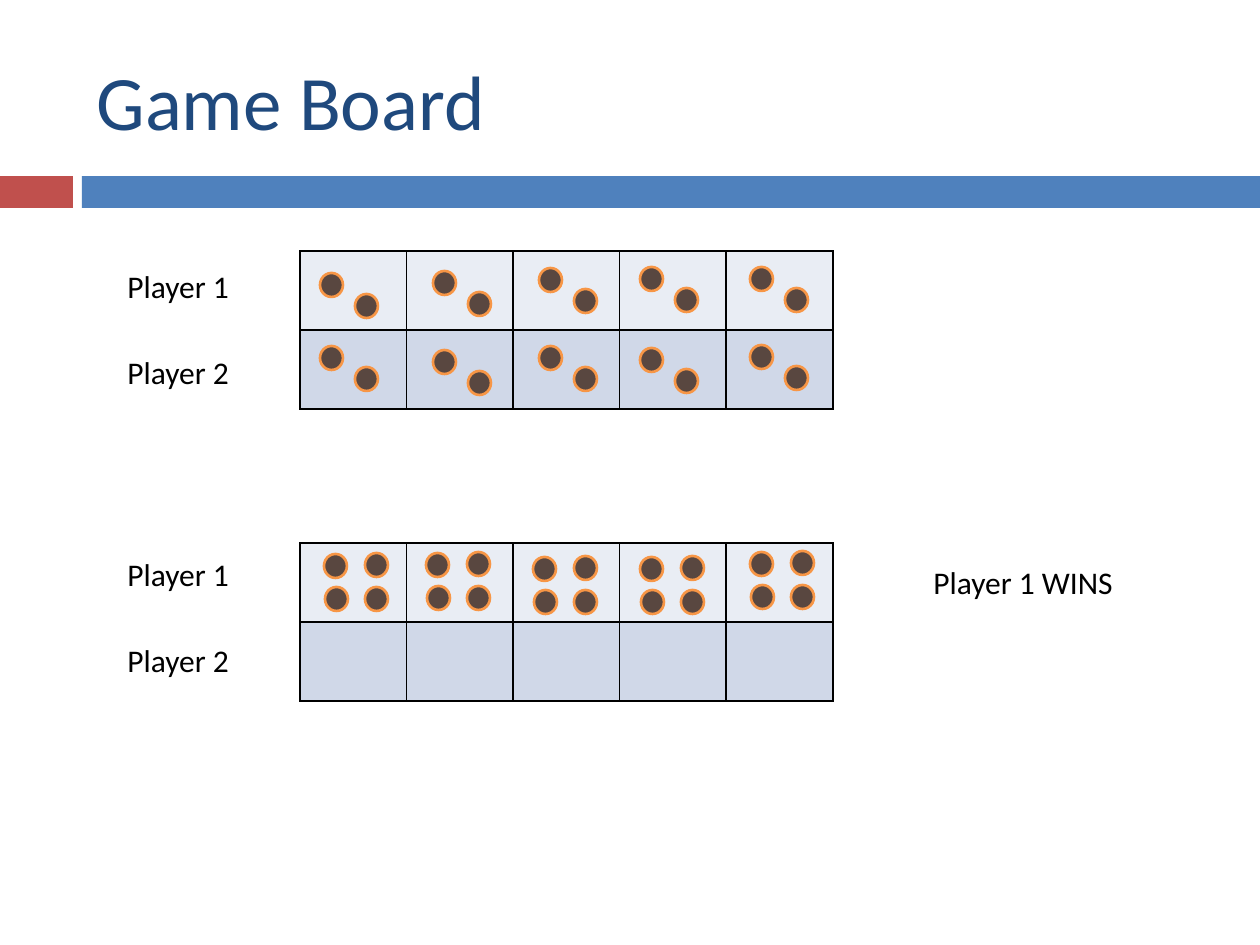
from lxml.etree import SubElement as Sub
from pptx import Presentation
from pptx.dml.color import RGBColor
from pptx.enum.shapes import MSO_SHAPE as Kind
from pptx.enum.text import MSO_ANCHOR as Anchor, PP_ALIGN as Align
from pptx.oxml.ns import qn
from pptx.util import Pt

SCALE = 914400 / 126
FONT = "Calibri"
PAIR = [(0, 0), (35, 21)]
QUAD = [(0, 0), (41, -1), (1, 33), (41, 33)]


def px(*sizes):
    return [round(size * SCALE) for size in sizes]


def color(code):
    return RGBColor.from_string(code)


def write(frame, text, size, code):
    para = frame.paragraphs[0]
    para.alignment = Align.LEFT
    run = para.add_run()
    run.text = text
    run.font.name = FONT
    run.font.size = Pt(size)
    run.font.color.rgb = color(code)


def shape(shapes, kind, box, fill, line=None):
    item = shapes.add_shape(kind, *px(*box))
    item.shadow.inherit = False
    item.fill.solid()
    item.fill.fore_color.rgb = color(fill)
    if line:
        item.line.color.rgb = color(line)
        item.line.width = Pt(1.5)
    else:
        item.line.fill.background()


def label(slide, box, text):
    frame = slide.shapes.add_textbox(*px(*box)).text_frame
    frame.word_wrap = True
    write(frame, text, 18, "000000")


def header(slide, box, text):
    left, top, width, height = box
    title = slide.shapes.title
    title.left, title.top, title.width, title.height = px(
        left + 84, top + 32, 1124, 136)
    title.text_frame.vertical_anchor = Anchor.MIDDLE
    write(title.text_frame, text, 44, "1F497D")
    for start, end, fill in [(0, 73, "C0504D"), (82, width, "4F81BD")]:
        bar = (left + start, top + height - 32, end - start, 32)
        shape(slide.shapes, Kind.RECTANGLE, bar, fill)


def border(cell):
    props = cell._tc.get_or_add_tcPr()
    for at, side in enumerate(["lnL", "lnR", "lnT", "lnB"]):
        line = props.makeelement(qn("a:" + side), {"w": str(Pt(1))})
        fill = Sub(line, qn("a:solidFill"))
        Sub(fill, qn("a:srgbClr"), val="000000")
        props.insert(at, line)


def grid(slide, box):
    frame = slide.shapes.add_table(2, 5, *px(*box))
    table = frame.table
    for row, fill in zip(table.rows, ["E9EDF4", "D0D8E8"]):
        for cell in row.cells:
            cell.fill.solid()
            cell.fill.fore_color.rgb = color(fill)
            border(cell)


def dots(slide, left, top, form):
    group = slide.shapes.add_group_shape()
    for x, y in form:
        shape(group.shapes, Kind.OVAL, (left + x, top + y, 23, 24),
              "594740", "F79646")


def board(slide, box, drop, form, spots):
    left, top, width, height = box
    grid(slide, box)
    for row, name in enumerate(["Player 1", "Player 2"]):
        label(slide, (left - 185, top + drop + 86 * row, 142, 50), name)
    for x, y in spots:
        dots(slide, left + x, top + y, form)


deck = Presentation()
deck.slide_width, deck.slide_height = px(1260, 945)
slide = deck.slides.add_slide(deck.slide_layouts[5])
header(slide, (0, 0, 1260, 208), "Game Board")

cols = [20, 133, 239, 340, 450]
first = [22, 20, 17, 16, 16]
second = [95, 99, 95, 97, 94]
start = [*zip(cols, first), *zip(cols, second)]
final = [(24, 11), (126, 10), (233, 14), (340, 14), (450, 9)]
board(slide, (300, 251, 533, 158), 10, PAIR, start)
board(slide, (300, 543, 533, 158), 6, QUAD, final)
label(slide, (921, 557, 223, 50), "Player 1 WINS")
deck.save("out.pptx")
